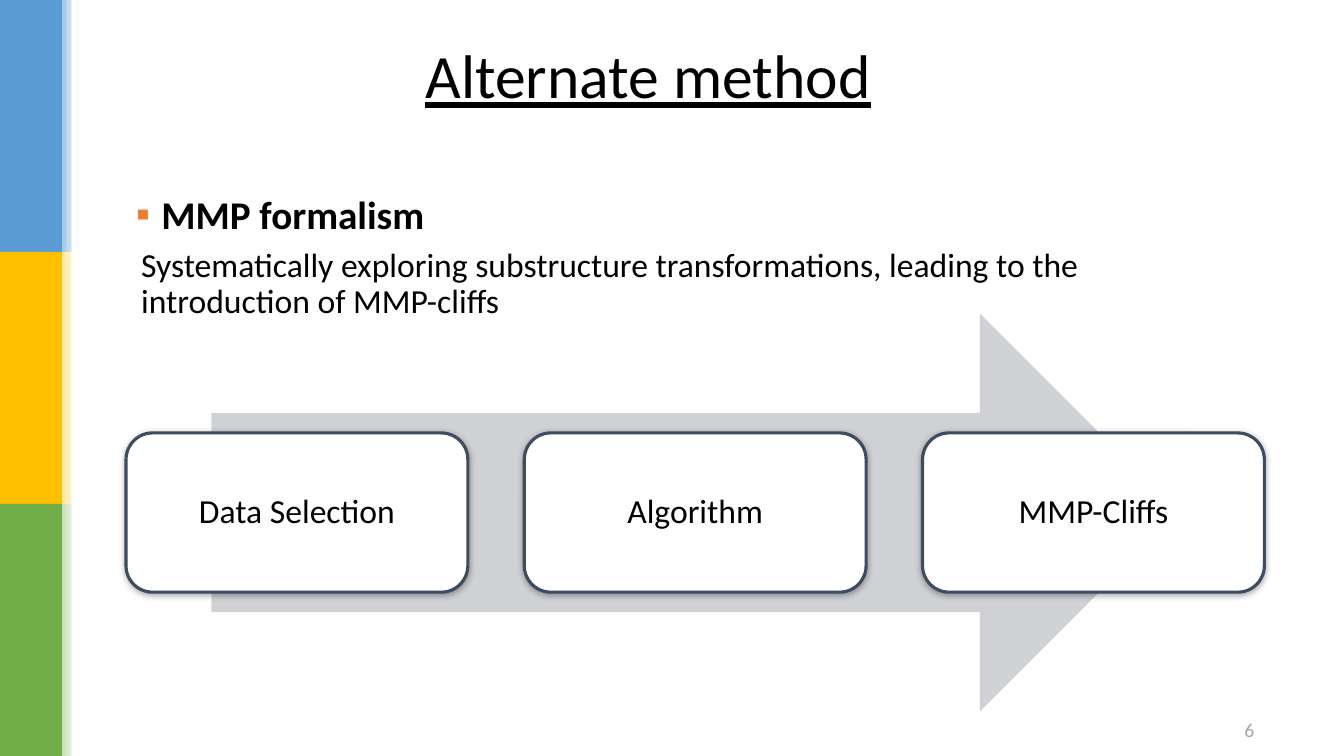
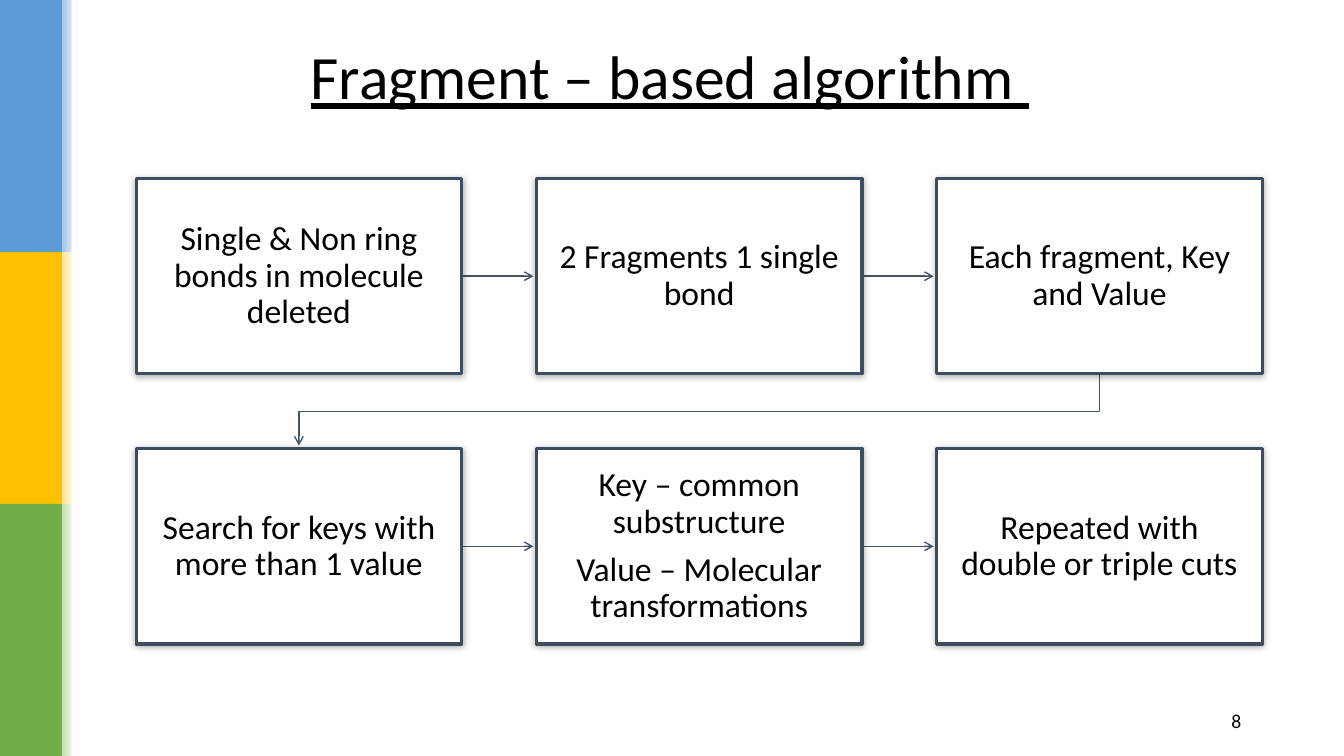
from dataclasses import dataclass

from lxml import etree
from pptx import Presentation
from pptx import util as u
from pptx.dml import color
from pptx.enum import shapes, text
from pptx.oxml import ns

SLIDE_W, SLIDE_H = 13.33, 7.5
FONT = "Calibri"
BLACK, WHITE, GREY = "000000", "FFFFFF", "A5A5A5"
BULLET, ARROW_BACK, BORDER, LINK = "ED7D31", "CFD1D4", "3E4C60", "44546A"
BANDS = [("5B9BD5", "9DC3E6"), ("FFC000", "FFE699"), ("70AD47", "C5E0B4")]
LEFT, CENTER, RIGHT = text.PP_ALIGN.LEFT, text.PP_ALIGN.CENTER, text.PP_ALIGN.RIGHT


@dataclass
class Box:
    x: float
    y: float
    w: float
    h: float

    def emu(self):
        return [u.Inches(v) for v in (self.x, self.y, self.w, self.h)]

    def share(self, x, y, w, h):
        """Part of the box, given as shares of its size."""
        return Box(self.x + x * self.w, self.y + y * self.h, w * self.w, h * self.h)

    def grid(self, cols, rows=1, gap=0.0):
        """Equal cells, row by row, with the same gap both ways."""
        w = (self.w - gap * (cols - 1)) / cols
        h = (self.h - gap * (rows - 1)) / rows
        return [Box(self.x + c * (w + gap), self.y + r * (h + gap), w, h)
                for r in range(rows) for c in range(cols)]

    @property
    def right(self):
        return self.x + self.w

    @property
    def bottom(self):
        return self.y + self.h

    @property
    def mid_x(self):
        return self.x + self.w / 2

    @property
    def mid_y(self):
        return self.y + self.h / 2


PAGE = Box(0, 0, SLIDE_W, SLIDE_H)


# Shared formatting
def rgb(hex_value):
    return color.RGBColor.from_string(hex_value)


def add_xml(parent, tag, **attrs):
    return etree.SubElement(parent, ns.qn(tag), attrs)


def place(shape, box):
    for side, value in zip(("left", "top", "width", "height"), box.emu()):
        setattr(shape, side, value)


def set_frame(frame, inset=None, anchor=text.MSO_ANCHOR.MIDDLE):
    settings = {"word_wrap": True, "auto_size": text.MSO_AUTO_SIZE.NONE,
                "vertical_anchor": anchor}
    if inset is not None:
        for side in ("left", "top", "right", "bottom"):
            settings["margin_" + side] = u.Inches(inset)
    for name, value in settings.items():
        setattr(frame, name, value)


def write(paragraph, words, size, align=LEFT, ink=BLACK, spacing=None, **font):
    run = paragraph.add_run()
    run.text = words
    font = {"name": FONT, "size": u.Pt(size), **font}
    for name, value in font.items():
        setattr(run.font, name, value)
    run.font.color.rgb = rgb(ink)
    for name, value in {"alignment": align, **(spacing or {})}.items():
        setattr(paragraph, name, value)


def add_plain(parent, kind, box, fill):
    shape = parent.add_shape(kind, *box.emu())
    shape.shadow.inherit = False
    shape.fill.solid()
    shape.fill.fore_color.rgb = rgb(fill)
    shape.line.fill.background()
    return shape


# Coloured side band, kept on the master
def add_side_band(master, slide):
    group = slide.shapes.add_group_shape()
    rect = shapes.MSO_SHAPE.RECTANGLE
    for (strong, pale), row in zip(BANDS, PAGE.grid(1, 3)):
        add_plain(group.shapes, rect, Box(0, row.y, 0.62, row.h), strong)
        fade = add_plain(group.shapes, rect, Box(0.62, row.y, 0.16, row.h), pale)
        fade.fill.gradient()
        fade.fill.gradient_angle = 0
        for stop, tint, position in zip(fade.fill.gradient_stops, (pale, WHITE), (0, 1)):
            stop.color.rgb = rgb(tint)
            stop.position = position
    add_plain(group.shapes, rect, Box(0.71, 0, 0.05, SLIDE_H), WHITE)
    master.shapes.element.insert(2, group.element)


# Title and page number
def add_title(slide, words, box):
    title = slide.shapes.title
    place(title, box)
    set_frame(title.text_frame)
    write(title.text_frame.paragraphs[0], words, 44, underline=True)


def add_page_number(slide, number, box, ink):
    label = slide.shapes.add_textbox(*box.emu())
    set_frame(label.text_frame)
    write(label.text_frame.paragraphs[0], number, 14, RIGHT, ink)


# Bulleted heading with its explanation
def add_statement(slide, heading, explanation, box):
    body = slide.placeholders[1]
    place(body, box)
    set_frame(body.text_frame, anchor=text.MSO_ANCHOR.TOP)
    head = body.text_frame.paragraphs[0]
    detail = body.text_frame.add_paragraph()
    write(head, heading, 28, bold=True,
          spacing={"line_spacing": 0.9, "space_before": u.Pt(0)})
    write(detail, explanation, 24,
          spacing={"line_spacing": 0.9, "space_before": u.Pt(7.2)})
    for paragraph, margin, indent in ((head, 0.25, -0.25), (detail, 0.05, 0)):
        props = paragraph._p.get_or_add_pPr()
        props.set("marL", str(u.Inches(margin)))
        props.set("indent", str(u.Inches(indent)))
    bullet = head._p.get_or_add_pPr()
    add_xml(add_xml(bullet, "a:buClr"), "a:srgbClr", val=BULLET)
    add_xml(bullet, "a:buFont", typeface=FONT)
    add_xml(bullet, "a:buChar", char="▪")
    add_xml(detail._p.get_or_add_pPr(), "a:buNone")


# White card with border and soft shadow
def add_card(slide, kind, box, lines, inset):
    card = add_plain(slide.shapes, kind, box, WHITE)
    card.line.color.rgb = rgb(BORDER)
    card.line.width = u.Pt(2.25)
    effects = card.element.spPr.find(ns.qn("a:effectLst"))
    shadow = add_xml(effects, "a:outerShdw", blurRad=str(u.Pt(5)), dist=str(u.Pt(1)),
                     dir="5400000", algn="ctr", rotWithShape="0")
    add_xml(add_xml(shadow, "a:srgbClr", val=BLACK), "a:alpha", val="32000")
    frame = card.text_frame
    set_frame(frame, inset)
    for i, line in enumerate(lines):
        paragraph = frame.add_paragraph() if i else frame.paragraphs[0]
        write(paragraph, line, 24, CENTER,
              spacing={"line_spacing": 0.9, "space_after": u.Pt(8.4)})


# Links between cards
def style_link(link):
    link.line.color.rgb = rgb(LINK)
    link.line.width = u.Pt(1)
    add_xml(link.line._get_or_add_ln(), "a:tailEnd", type="arrow")
    if link.element.spPr.find(ns.qn("a:effectLst")) is None:
        add_xml(link.element.spPr, "a:effectLst")


def link_across(slide, start, end, clearance):
    style_link(slide.shapes.add_connector(
        shapes.MSO_CONNECTOR.STRAIGHT,
        u.Inches(start.right), u.Inches(start.mid_y),
        u.Inches(end.x - clearance), u.Inches(end.mid_y)))


def link_to_next_row(slide, start, end, clearance):
    turn = (start.bottom + end.y) / 2
    route = [(start.mid_x, start.bottom), (start.mid_x, turn),
             (end.mid_x, turn), (end.mid_x, end.y - clearance)]
    first, *rest = [(u.Inches(x), u.Inches(y)) for x, y in route]
    outline = slide.shapes.build_freeform(*first)
    outline.add_line_segments(rest, close=False)
    elbow = outline.convert_to_shape()
    elbow.fill.background()
    style_link(elbow)


# Diagrams
def add_arrow_process(slide, steps, box):
    add_plain(slide.shapes, shapes.MSO_SHAPE.RIGHT_ARROW,
              box.share(0.075, 0, 0.85, 1), ARROW_BACK)
    row = box.share(0, 0.3, 1, 0.4)
    for cell, step in zip(row.grid(len(steps), gap=0.56), steps):
        add_card(slide, shapes.MSO_SHAPE.ROUNDED_RECTANGLE, cell, [step], 0.1)


def add_step_grid(slide, steps, box, cols=3):
    cells = box.grid(cols, len(steps) // cols, gap=0.74)
    for i, (start, end) in enumerate(zip(cells, cells[1:]), 1):
        link = link_across if i % cols else link_to_next_row
        link(slide, start, end, 0.03)
    for cell, lines in zip(cells, steps):
        add_card(slide, shapes.MSO_SHAPE.RECTANGLE, cell, lines, 0.19)


# Slides
def add_method_slide(prs):
    slide = prs.slides.add_slide(prs.slide_layouts.get_by_name("Title and Content"))
    add_title(slide, "Alternate method", Box(4.12, 0.32, 4.74, 0.83))
    add_statement(slide, "MMP formalism",
                  "Systematically exploring substructure transformations, "
                  "leading to the introduction of MMP-cliffs",
                  Box(1.25, 1.89, 10.8, 4.77))
    add_page_number(slide, "6", Box(11.18, 7.06, 1.36, 0.35), GREY)
    add_arrow_process(slide, ["Data Selection", "Algorithm", "MMP-Cliffs"],
                      Box(1.25, 3.11, 11.29, 3.95))
    return slide


def add_algorithm_slide(prs):
    slide = prs.slides.add_slide(prs.slide_layouts.get_by_name("Title Only"))
    add_title(slide, "Fragment – based algorithm ", Box(2.98, 0.42, 7.36, 0.65))
    add_step_grid(slide, [
        ["Single & Non ring bonds in molecule deleted"],
        ["2 Fragments 1 single bond"],
        ["Each fragment, Key and Value"],
        ["Search for keys with more than 1 value"],
        ["Key – common substructure", "Value – Molecular transformations"],
        ["Repeated with double or triple cuts"],
    ], Box(1.35, 1.77, 11.17, 4.62))
    add_page_number(slide, "8", Box(8.83, 6.95, 3.58, 0.4), BLACK)


def main():
    prs = Presentation()
    prs.slide_width, prs.slide_height = u.Inches(SLIDE_W), u.Inches(SLIDE_H)
    method = add_method_slide(prs)
    add_algorithm_slide(prs)
    add_side_band(prs.slide_master, method)
    prs.save("out.pptx")


if __name__ == "__main__":
    main()
